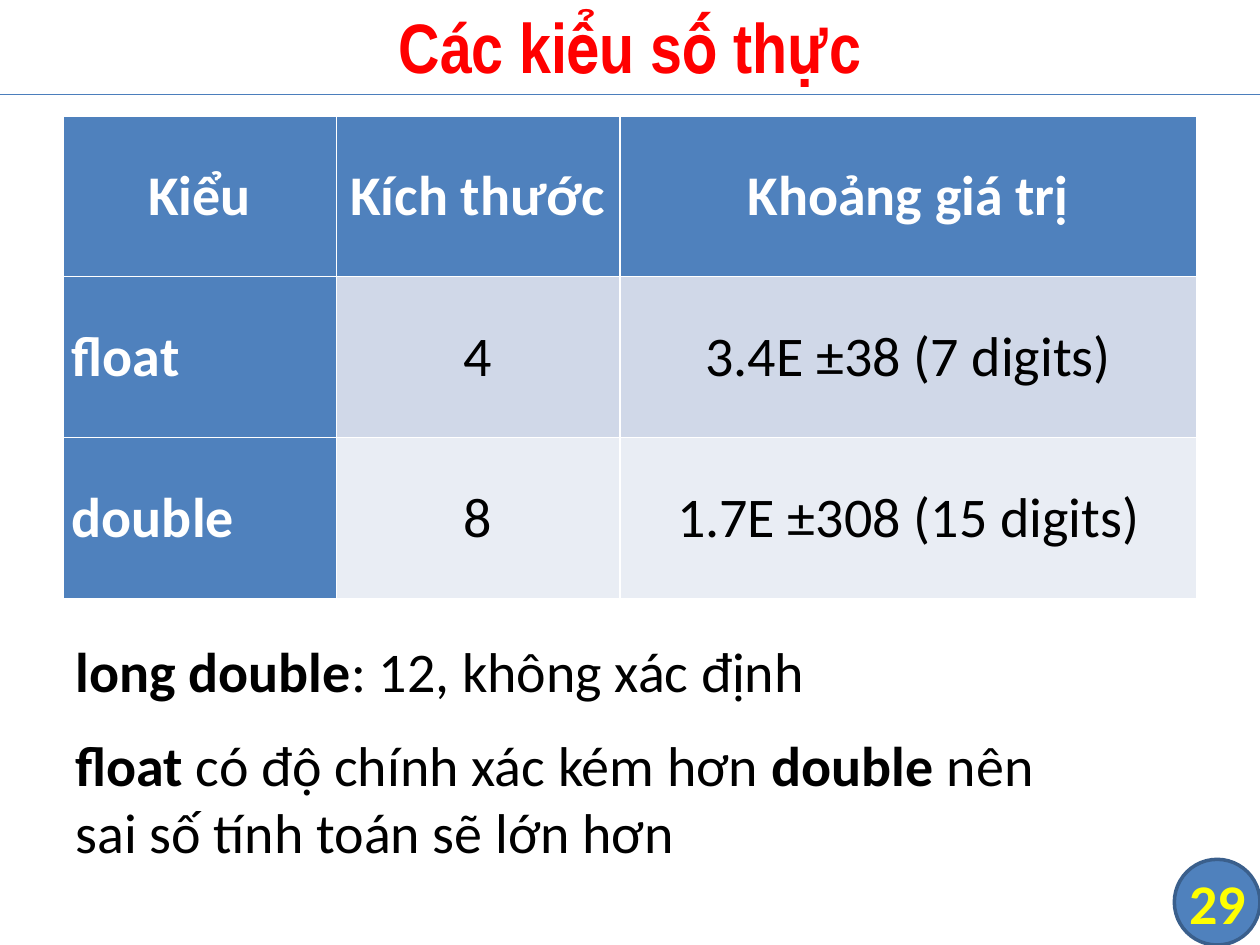
from pptx import Presentation
from pptx.dml.color import RGBColor
from pptx.enum.shapes import MSO_CONNECTOR, MSO_SHAPE
from pptx.enum.text import MSO_ANCHOR, MSO_AUTO_SIZE, PP_ALIGN
from pptx.oxml.ns import qn
from pptx.util import Inches, Pt
from lxml import etree

BLUE = RGBColor(0x4F, 0x81, 0xBD)
DARK_BLUE = RGBColor(0x3A, 0x5F, 0x8C)
RULE_BLUE = RGBColor(0x4B, 0x7E, 0xBC)
BAND_DARK = RGBColor(0xD0, 0xD8, 0xE8)
BAND_LIGHT = RGBColor(0xE9, 0xED, 0xF4)
RED = RGBColor(0xFF, 0x00, 0x00)
YELLOW = RGBColor(0xFF, 0xFF, 0x00)
WHITE = RGBColor(0xFF, 0xFF, 0xFF)
BLACK = RGBColor(0x00, 0x00, 0x00)


def set_font(paragraph, color, bold=None, size=32, name="Calibri"):
    font = paragraph.font
    font.name, font.size, font.bold = name, Pt(size), bold
    font.color.rgb = color


prs = Presentation()
prs.slide_width, prs.slide_height = Inches(10), Inches(7.5)
slide = prs.slides.add_slide(prs.slide_layouts[5])
shapes = slide.shapes

badge = shapes.add_shape(MSO_SHAPE.FLOWCHART_CONNECTOR,
                         Inches(9.32), Inches(6.82), Inches(0.68), Inches(0.68))
badge.shadow.inherit = False
badge.fill.solid()
badge.fill.fore_color.rgb = BLUE
badge.line.color.rgb = DARK_BLUE
badge.line.width = Pt(2)

rule = shapes.add_connector(MSO_CONNECTOR.STRAIGHT, 0, Inches(0.75), Inches(10), Inches(0.75))
rule.line.color.rgb = RULE_BLUE
rule.line.width = Pt(0.75)
etree.SubElement(rule._element.spPr, qn("a:effectLst"))

title = shapes.title
title.left, title.top, title.width, title.height = 0, Inches(-0.03), Inches(10), Inches(0.78)
title.text_frame.text = "Các kiểu số thực"
title.text_frame.vertical_anchor = MSO_ANCHOR.MIDDLE
heading = title.text_frame.paragraphs[0]
heading.alignment = PP_ALIGN.CENTER
set_font(heading, RED, True, 40, "Arial Narrow")

page = shapes.add_textbox(Inches(9.33), Inches(6.82), Inches(0.67), Inches(0.68)).text_frame
page.margin_left = page.margin_right = page.margin_top = page.margin_bottom = 0
page.word_wrap = True
page.vertical_anchor = MSO_ANCHOR.MIDDLE
page.text = "29"
page.paragraphs[0].alignment = PP_ALIGN.CENTER
set_font(page.paragraphs[0], YELLOW, True)

rows = [
    ("Kiểu", "Kích thước", "Khoảng giá trị"),
    ("float", "4", "3.4E ±38 (7 digits)"),
    ("double", "8", "1.7E ±308 (15 digits)"),
]
row_fills = [BLUE, BAND_DARK, BAND_LIGHT]
types = shapes.add_table(3, 3, Inches(0.5), Inches(0.92), Inches(9), Inches(3.83)).table
types.first_col = True
for column, width in zip(types.columns, (2.17, 2.25, 4.58)):
    column.width = Inches(width)

for r, values in enumerate(rows):
    for c, value in enumerate(values):
        is_header = r == 0 or c == 0
        cell = types.cell(r, c)
        cell.fill.solid()
        cell.fill.fore_color.rgb = BLUE if is_header else row_fills[r]
        cell.margin_left = cell.margin_right = Inches(0.07)
        cell.margin_top = cell.margin_bottom = 0
        cell.vertical_anchor = MSO_ANCHOR.MIDDLE
        cell.text = value
        entry = cell.text_frame.paragraphs[0]
        entry.alignment = PP_ALIGN.LEFT if c == 0 and r > 0 else PP_ALIGN.CENTER
        entry.space_before = entry.space_after = Pt(3)
        set_font(entry, WHITE if is_header else BLACK, is_header)

remarks = [
    (5, 6.75, 0.64, False, [("long double", True), (": 12, không xác định", False)]),
    (5.75, 8.08, 1.18, True, [("float", True), (" có độ chính xác kém hơn ", False),
                              ("double", True), (" nên sai số tính toán sẽ lớn hơn", False)]),
]
for top, width, height, wrap, parts in remarks:
    remark = shapes.add_textbox(Inches(0.5), Inches(top), Inches(width), Inches(height)).text_frame
    remark.word_wrap = wrap
    remark.auto_size = MSO_AUTO_SIZE.SHAPE_TO_FIT_TEXT
    sentence = remark.paragraphs[0]
    set_font(sentence, BLACK)
    for words, bold in parts:
        run = sentence.add_run()
        run.text = words
        run.font.bold = bold

prs.save("out.pptx")
